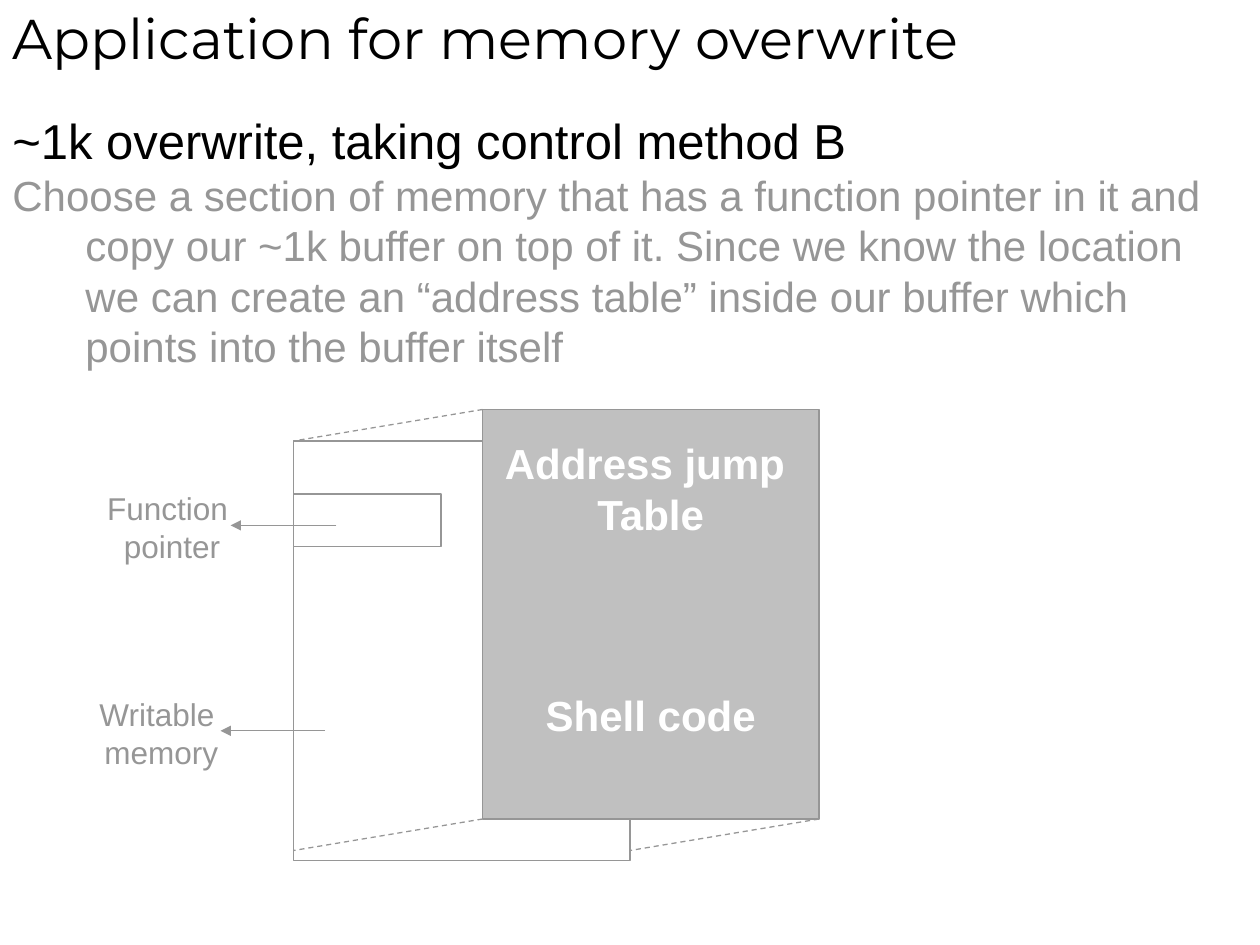
from lxml import etree
from pptx import Presentation
from pptx.dml.color import RGBColor
from pptx.enum import dml, shapes, text
from pptx.oxml.ns import qn
from pptx.util import Inches, Pt

COLORS = {"ink": "000000", "gray": "969696", "silver": "C0C0C0", "white": "FFFFFF"}


class SlideBuilder:
    font = "Arial"
    line_width = Pt(0.75)
    line_ratio = 1.2

    def __init__(self, deck):
        self.page = deck.slides.add_slide(deck.slide_layouts[6])

    def color(self, name):
        return RGBColor.from_string(COLORS[name])

    def style_paragraph(self, para, words, size, color, font=None, bold=False):
        para.text = words
        para.font.name = font or self.font
        para.font.size = Pt(size)
        para.font.bold = bold
        para.font.color.rgb = self.color(color)

    def fill_frame(self, frame, lines, size, color, bold=False):
        frame.word_wrap = False
        for index, words in enumerate(lines):
            para = frame.paragraphs[0] if index == 0 else frame.add_paragraph()
            self.style_paragraph(para, words, size, color, bold=bold)
            para.alignment = text.PP_ALIGN.CENTER
            para.line_spacing = Pt(size * self.line_ratio)

    def text_box(self, left, top, width, height):
        box = self.page.shapes.add_textbox(
            Inches(left), Inches(top), Inches(width), Inches(height))
        box.text_frame.word_wrap = True
        return box.text_frame

    def title(self, words):
        frame = self.text_box(0, -0.08, 10, 0.75)
        frame.vertical_anchor = text.MSO_ANCHOR.MIDDLE
        self.style_paragraph(frame.paragraphs[0], words, 32, "ink", "Montserrat")

    def body(self, heading, detail):
        frame = self.text_box(0, 0.83, 10, 2.4)
        rows = [(frame.paragraphs[0], heading, 28, "ink"),
                (frame.add_paragraph(), detail, 24, "gray")]
        for para, words, size, color in rows:
            indent = para._p.get_or_add_pPr()
            indent.set("marL", str(Inches(0.58)))
            indent.set("indent", str(Inches(-0.58)))
            self.style_paragraph(para, words, size, color)
            para.line_spacing = Pt(size * self.line_ratio)

    def label(self, left, top, width, lines):
        self.fill_frame(self.text_box(left, top, width, 0.7), lines, 18, "gray")

    def block(self, left, top, width, height, fill="white"):
        box = self.page.shapes.add_shape(
            shapes.MSO_SHAPE.RECTANGLE,
            Inches(left), Inches(top), Inches(width), Inches(height))
        box.shadow.inherit = False
        box.fill.solid()
        box.fill.fore_color.rgb = self.color(fill)
        box.line.color.rgb = self.color("gray")
        box.line.width = self.line_width
        return box

    def line(self, start, end, dashed=False, arrow=False):
        link = self.page.shapes.add_connector(
            shapes.MSO_CONNECTOR.STRAIGHT, *map(Inches, start + end))
        link.line.color.rgb = self.color("gray")
        link.line.width = self.line_width
        if dashed:
            link.line.dash_style = dml.MSO_LINE.DASH
        if arrow:
            etree.SubElement(link.line._get_or_add_ln(), qn("a:tailEnd"), type="triangle")
        etree.SubElement(link._element.spPr, qn("a:effectLst"))


def main():
    deck = Presentation()
    deck.slide_width, deck.slide_height = Inches(10), Inches(7.5)
    slide = SlideBuilder(deck)

    slide.block(2.33, 3.5, 2.67, 3.33)
    slide.title("Application for memory overwrite")
    slide.body(
        "~1k overwrite, taking control method B",
        "Choose a section of memory that has a function pointer in it and copy our "
        "~1k buffer on top of it. Since we know the location we can create an "
        "“address table” inside our buffer which points into the buffer itself")
    slide.block(2.33, 3.92, 1.17, 0.42)

    payload = slide.block(3.83, 3.25, 2.67, 3.25, "silver").text_frame
    payload.vertical_anchor = text.MSO_ANCHOR.MIDDLE
    payload.margin_bottom = Inches(0.45)
    slide.fill_frame(payload, ["Address jump ", "Table", "Shell code"], 24, "white", bold=True)
    payload.paragraphs[2].space_before = Pt(86.4)

    slide.label(0.75, 3.83, 1.23, ["Function ", "pointer"])
    slide.label(0.69, 5.47, 1.18, ["Writable ", "memory"])
    slide.line((2.67, 4.17), (1.83, 4.17), arrow=True)
    slide.line((2.58, 5.8), (1.75, 5.8), arrow=True)
    for x, y in [(3.83, 3.25), (3.83, 6.5), (6.5, 6.5)]:
        slide.line((x, y), (x - 1.5, y + 0.25), dashed=True)

    deck.save("out.pptx")


if __name__ == "__main__":
    main()
